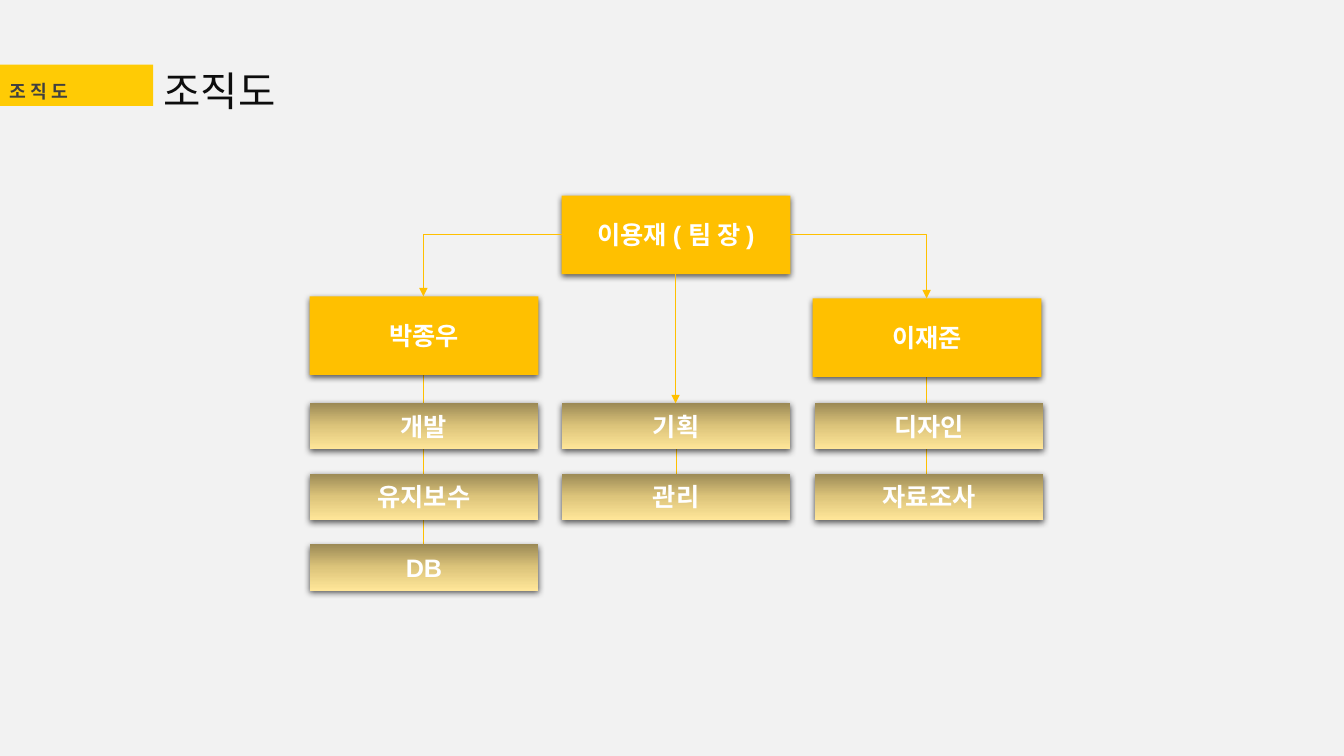
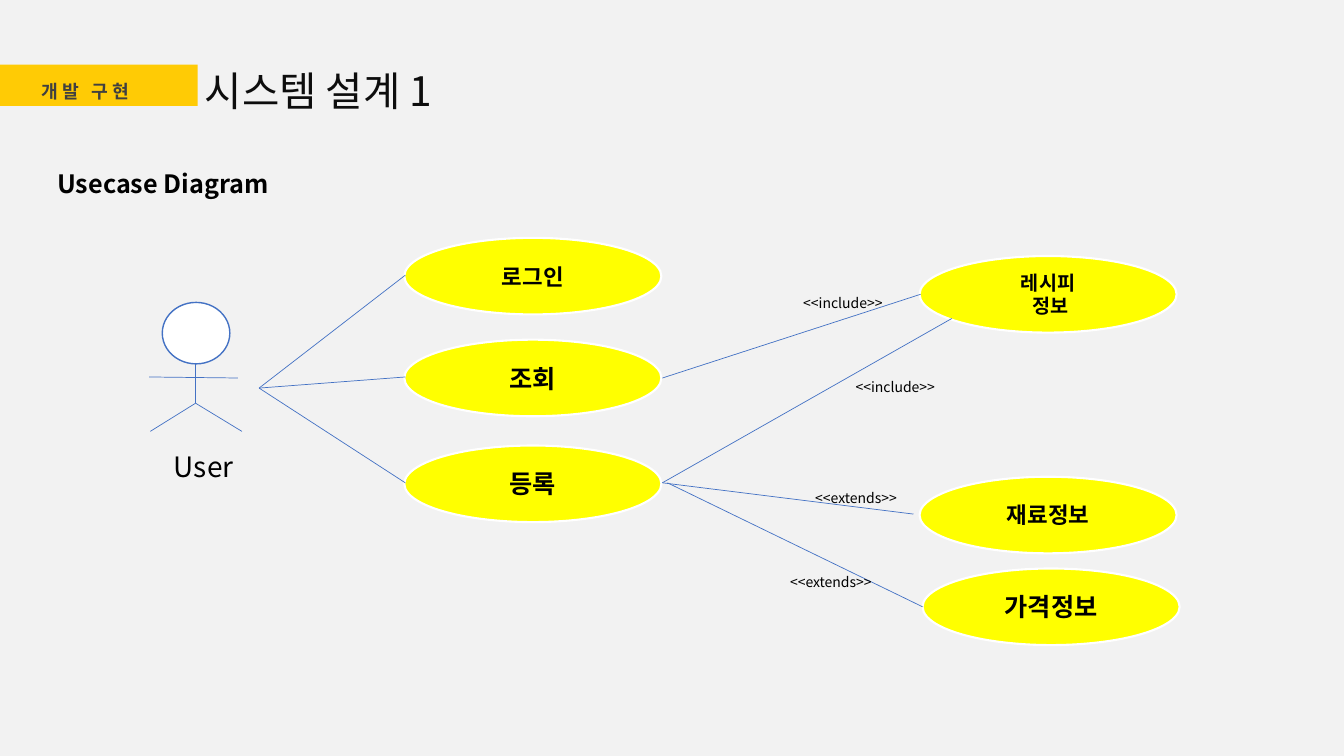
"""Build a team organisation chart and a use case diagram."""
from lxml import etree
from pptx import Presentation
from pptx.dml.color import RGBColor
from pptx.enum import shapes, text
from pptx.oxml.ns import qn
from pptx.util import Inches, Pt

PAPER = RGBColor(0xF2, 0xF2, 0xF2)
BAND = RGBColor(0xFF, 0xCB, 0x05)
AMBER = RGBColor(0xFF, 0xC0, 0x00)
YELLOW = RGBColor(0xFF, 0xFF, 0x00)
BLUE = RGBColor(0x44, 0x72, 0xC4)
WHITE = RGBColor(0xFF, 0xFF, 0xFF)
BLACK = RGBColor(0x00, 0x00, 0x00)
INK = RGBColor(0x0D, 0x0D, 0x0D)
GREY = RGBColor(0x40, 0x40, 0x40)
TASK_STOPS = [
    (0, RGBColor(0x9C, 0x8A, 0x56)),
    (50, RGBColor(0xDD, 0xC5, 0x7B)),
    (100, RGBColor(0xFF, 0xE6, 0x99)),
]
SANS = "Noto Sans CJK KR"
LEFT, CENTER = text.PP_ALIGN.LEFT, text.PP_ALIGN.CENTER
TOP, MIDDLE = text.MSO_ANCHOR.TOP, text.MSO_ANCHOR.MIDDLE
RECTANGLE, OVAL = shapes.MSO_SHAPE.RECTANGLE, shapes.MSO_SHAPE.OVAL

TITLE = {"size": Pt(29), "bold": False, "name": SANS}
TAG = {"size": Pt(13), "bold": True, "name": SANS}
HEADING = {"size": Pt(18), "bold": True, "name": SANS}
ACTOR = {"size": Pt(20), "bold": False, "name": SANS}
RELATION = {"size": Pt(10), "bold": False, "name": SANS}
MEMBER = {"size": Pt(18), "bold": True, "name": "Arial"}


def write(box, words, style, color, align=LEFT, anchor=TOP):
    """Fill a box with styled text, one paragraph per line."""
    frame = box.text_frame
    frame.word_wrap = True
    frame.auto_size = text.MSO_AUTO_SIZE.NONE
    frame.vertical_anchor = anchor
    frame.text = words
    for para in frame.paragraphs:
        para.alignment = align
        for span in para.runs:
            for key, value in style.items():
                setattr(span.font, key, value)
            span.font.color.rgb = color
            east_asian = etree.SubElement(span.font._element, qn("a:ea"))
            east_asian.set("typeface", SANS)


def connect(page, start, end, color, kind=shapes.MSO_CONNECTOR.STRAIGHT, arrow=False):
    """Draw a thin line between two points given in inches."""
    line = page.shapes.add_connector(kind, *map(Inches, start + end))
    line.line.color.rgb = color
    line.line.width = Pt(0.5)
    if arrow:
        etree.SubElement(line.line._get_or_add_ln(), qn("a:tailEnd")).set("type", "triangle")
    properties = line._element.spPr
    etree.SubElement(properties, qn("a:effectLst"))
    if kind == shapes.MSO_CONNECTOR.ELBOW:
        properties.find(qn("a:prstGeom")).set("prst", "bentConnector2")


deck = Presentation()
deck.slide_width, deck.slide_height = Inches(13.33), Inches(7.5)
background = deck.slide_master.background.fill
background.solid()
background.fore_color.rgb = PAPER

headers = [
    ("조직도", 1.52, "조직도", 1.52, 0),
    ("시스템 설계 1", 1.93, "개발 구현", 1.96, 0.31),
]
pages = []
for title, title_left, tag, band_width, tag_left in headers:
    page = deck.slides.add_slide(deck.slide_layouts[5])
    box = page.shapes.title
    box.left, box.top = Inches(title_left), Inches(0.6)
    box.width, box.height = Inches(3.62), Inches(0.59)
    write(box, title, TITLE, INK)
    band = page.shapes.add_shape(RECTANGLE, 0, Inches(0.64), Inches(band_width), Inches(0.41))
    band.shadow.inherit = False
    band.fill.solid()
    band.fill.fore_color.rgb = BAND
    band.line.fill.background()
    box = page.shapes.add_textbox(Inches(tag_left), Inches(0.64), Inches(2), Inches(0.39))
    write(box, tag, TAG, GREY)
    para = box.text_frame.paragraphs[0]
    para.line_spacing = 1.5
    para.runs[0].font._element.set("spc", "300")
    pages.append(page)
chart_page, case_page = pages

BOX_WIDTH, LEAD_HEIGHT, TASK_HEIGHT = 2.27, 0.78, 0.46
TASK_TOP, TASK_STEP = 4, 0.7
leads = [
    ("이용재 ( 팀 장 )", 5.57, 1.94),
    ("박종우", 3.07, 2.94),
    ("이재준", 8.06, 2.96),
]
columns = [
    (3.07, 4.2, 0, ["개발", "유지보수", "DB"]),
    (5.57, 6.71, 1, ["기획", "관리"]),
    (8.08, 9.19, 0, ["디자인", "자료조사"]),
]
members = [(name, left, top, LEAD_HEIGHT, False) for name, left, top in leads]
for left, center, first_link, tasks in columns:
    for row, task in enumerate(tasks):
        top = TASK_TOP + row * TASK_STEP
        members.append((task, left, top, TASK_HEIGHT, True))
        if row >= first_link:
            connect(chart_page, (center, top - 0.3), (center, top), AMBER)

for name, left, top, height, is_task in members:
    box = chart_page.shapes.add_shape(
        RECTANGLE, Inches(left), Inches(top), Inches(BOX_WIDTH), Inches(height))
    box.shadow.inherit = False
    box.line.fill.background()
    if is_task:
        box.fill.gradient()
        box.fill.gradient_angle = 270
        stops = box._element.spPr.find(qn("a:gradFill")).find(qn("a:gsLst"))
        stops.clear()
        for percent, color in TASK_STOPS:
            stop = etree.SubElement(stops, qn("a:gs"), pos=str(percent * 1000))
            etree.SubElement(stop, qn("a:srgbClr"), val=str(color))
    else:
        box.fill.solid()
        box.fill.fore_color.rgb = AMBER
    effects = box._element.spPr.find(qn("a:effectLst"))
    shadow = etree.SubElement(
        effects, qn("a:outerShdw"), blurRad=str(Pt(4.5)), dist=str(Pt(1.5)),
        dir="5400000", algn="ctr", rotWithShape="0")
    shade = etree.SubElement(shadow, qn("a:srgbClr"), val=str(BLACK))
    etree.SubElement(shade, qn("a:alpha"), val="63000")
    write(box, name, MEMBER, WHITE, CENTER, MIDDLE)

connect(chart_page, (6.7, 2.72), (6.7, 4), AMBER, arrow=True)
for start, end in [((5.57, 2.33), (4.2, 2.94)), ((7.84, 2.33), (9.19, 2.96))]:
    connect(chart_page, start, end, AMBER, shapes.MSO_CONNECTOR.ELBOW, True)

box = case_page.shapes.add_textbox(Inches(0.47), Inches(1.62), Inches(4.66), Inches(0.4))
write(box, "Usecase Diagram", HEADING, BLACK)

ovals = [
    ("로그인", 4.01, 2.36, 2.55, 0.76, 16, YELLOW, WHITE, 1.5),
    ("조회", 4.01, 3.37, 2.55, 0.76, 18, YELLOW, WHITE, 1.5),
    ("등록", 4.01, 4.42, 2.55, 0.76, 18, YELLOW, WHITE, 1.5),
    ("레시피\n 정보", 9.12, 2.54, 2.55, 0.76, 14, YELLOW, WHITE, 1.5),
    ("재료정보", 9.12, 4.73, 2.55, 0.76, 16, YELLOW, WHITE, 1.5),
    ("가격정보", 9.15, 5.64, 2.55, 0.76, 18, YELLOW, WHITE, 1.5),
    ("", 1.61, 3, 0.67, 0.61, 18, WHITE, BLUE, 1),
]
for name, left, top, width, height, size, fill, outline, weight in ovals:
    oval = case_page.shapes.add_shape(OVAL, *map(Inches, (left, top, width, height)))
    oval.shadow.inherit = False
    oval.fill.solid()
    oval.fill.fore_color.rgb = fill
    oval.line.color.rgb = outline
    oval.line.width = Pt(weight)
    if name:
        write(oval, name, HEADING | {"size": Pt(size)}, BLACK, CENTER, MIDDLE)

user, hip, register = (2.57, 3.85), (1.94, 4), (6.57, 4.79)
links = [
    ((1.48, 3.74), (2.36, 3.75)),
    ((1.94, 3.6), hip),
    (hip, (2.4, 4.28)),
    (hip, (1.49, 4.28)),
    (user, (4.02, 2.73)),
    (user, (4.02, 3.74)),
    (user, (4.02, 4.79)),
    ((6.57, 3.75), (9.13, 2.92)),
    (register, (9.44, 3.16)),
    (register, (9.06, 5.1)),
    ((6.62, 4.79), (9.15, 6.02)),
]
for start, end in links:
    connect(case_page, start, end, BLUE)

labels = [
    ("User", 1.21, 4.41, 1.62, 0.44, ACTOR),
    ("<<include>>", 6.93, 2.87, 2.86, 0.27, RELATION),
    ("<<include>>", 7.45, 3.71, 2.86, 0.27, RELATION),
    ("<<extends>>", 7.03, 4.81, 2.92, 0.27, RELATION),
    ("<<extends>>", 6.78, 5.64, 2.92, 0.27, RELATION),
]
for words, left, top, width, height, style in labels:
    box = case_page.shapes.add_textbox(*map(Inches, (left, top, width, height)))
    write(box, words, style, BLACK, CENTER)

deck.save("out.pptx")
